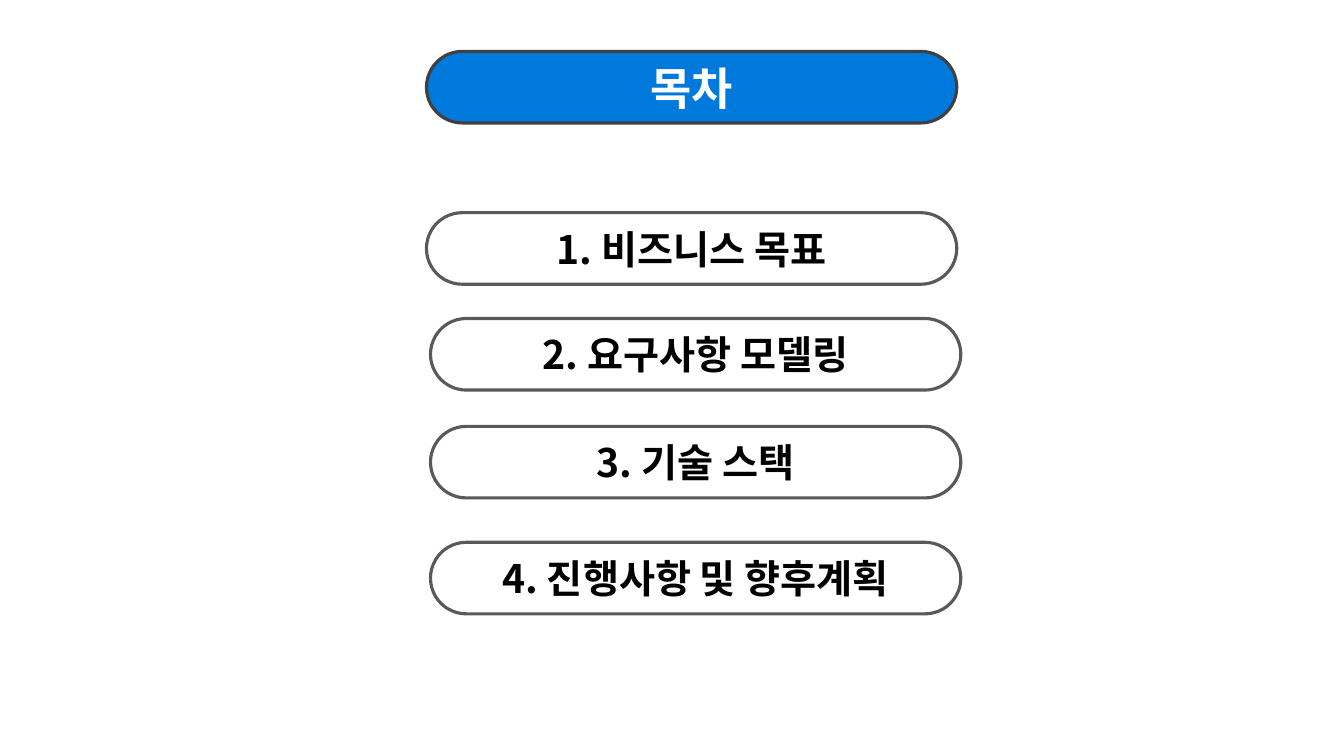
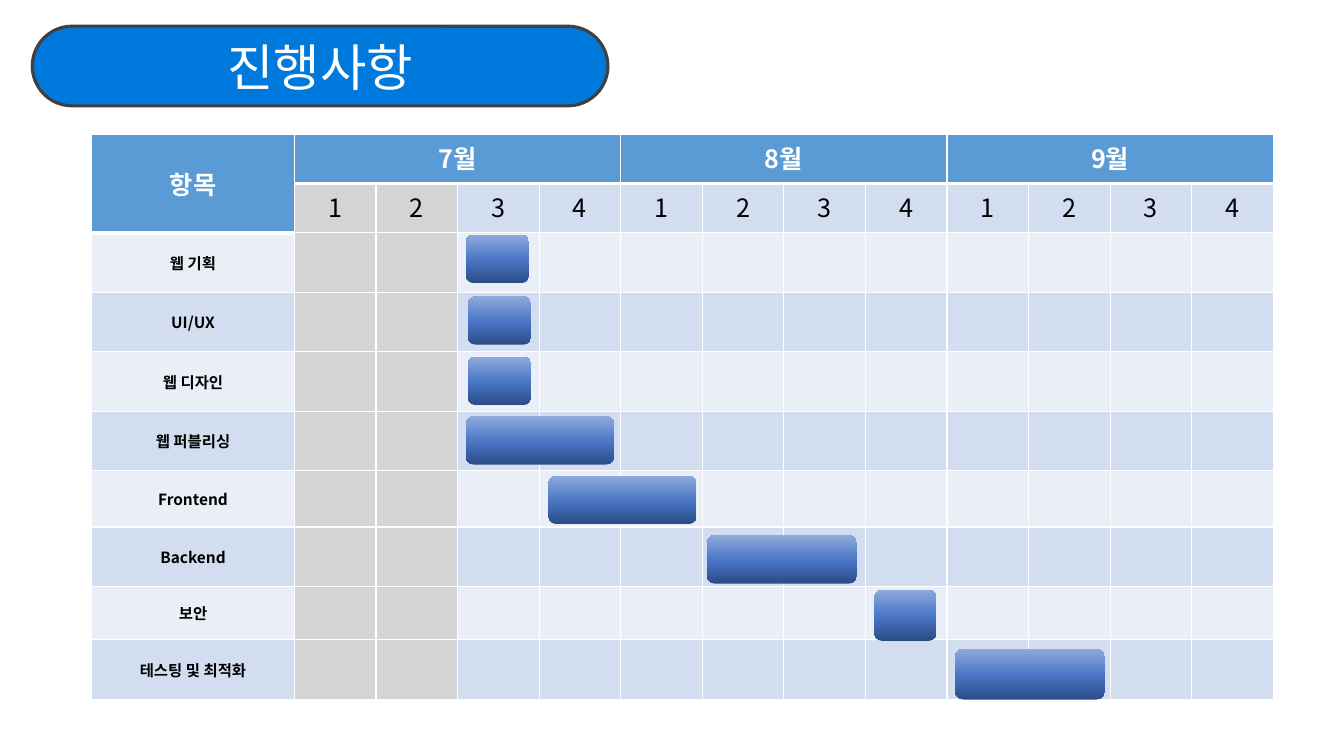
"""Build a table of contents slide and a project schedule slide."""
from copy import deepcopy
from dataclasses import dataclass

from lxml import etree
from pptx import Presentation
from pptx.dml.color import RGBColor
from pptx.enum.shapes import MSO_SHAPE
from pptx.enum.text import MSO_ANCHOR, PP_ALIGN
from pptx.oxml.ns import qn
from pptx.util import Inches, Pt

ROUNDED = MSO_SHAPE.ROUNDED_RECTANGLE
CENTER = PP_ALIGN.CENTER
TOP, MIDDLE = MSO_ANCHOR.TOP, MSO_ANCHOR.MIDDLE


@dataclass(frozen=True)
class Theme:
    font: str = "Noto Sans CJK KR"
    white: str = "FFFFFF"
    black: str = "000000"
    title_fill: str = "0079DC"
    title_line: str = "404040"
    item_line: str = "595959"
    header: str = "5B9BD5"
    bands: tuple = ("EAEFF7", "D2DEEF")
    past: str = "767171"
    past_alpha: int = 30
    bar_stops: tuple = ((0, "2A4B86"), (0.48, "4A76C6"), (1, "8FAADC"))
    contents_size: int = 32
    item_size: int = 28
    schedule_size: int = 36
    header_size: int = 18
    task_size: int = 11
    pill_border: float = 2.25
    cell_border: int = 1
    header_border: int = 3


theme = Theme()


def write_text(frame, text, *, size, color=theme.black, bold=False):
    para = frame.paragraphs[0]
    para.alignment = CENTER
    span = para.add_run()
    span.text = text
    span.font.size = Pt(size)
    span.font.bold = bold
    span.font.name = theme.font
    span.font.color.rgb = RGBColor.from_string(color)
    east_asian = etree.Element(qn("a:ea"), typeface=theme.font)
    span.font._element.find(qn("a:latin")).addnext(east_asian)


def add_pill(page, text, left, top, width, height, *, fill, line, **text_format):
    pill = page.shapes.add_shape(
        ROUNDED, Inches(left), Inches(top), Inches(width), Inches(height))
    pill.adjustments[0] = 0.5
    pill.shadow.inherit = False
    pill.fill.solid()
    pill.fill.fore_color.rgb = RGBColor.from_string(fill)
    pill.line.color.rgb = RGBColor.from_string(line)
    pill.line.width = Pt(theme.pill_border)
    pill.text_frame.vertical_anchor = MIDDLE
    write_text(pill.text_frame, text, **text_format)


deck = Presentation()
deck.slide_width, deck.slide_height = Inches(13.33), Inches(7.5)
blank = deck.slide_layouts[6]
title_look = {"fill": theme.title_fill, "line": theme.title_line, "color": theme.white}

contents = deck.slides.add_slide(blank)
add_pill(contents, "목차", 4.23, 0.51, 5.26, 0.71,
         size=theme.contents_size, bold=True, **title_look)
items = [
    ("1. 비즈니스 목표", 4.23, 2.11),
    ("2. 요구사항 모델링", 4.27, 3.16),
    ("3. 기술 스택", 4.27, 4.23),
    ("4. 진행사항 및 향후계획", 4.27, 5.38),
]
for text, left, top in items:
    add_pill(contents, text, left, top, 5.26, 0.71, fill=theme.white,
             line=theme.item_line, size=theme.item_size, bold=True)

schedule = deck.slides.add_slide(blank)
months = ["7월", "8월", "9월"]
weeks = 4
past_weeks = 2
tasks = ["웹 기획", "UI/UX", "웹 디자인", "웹 퍼블리싱",
         "Frontend", "Backend", "보안", "테스팅 및 최적화"]
row_heights = [0.49, 0.49, 0.59, 0.59, 0.59, 0.59, 0.56, 0.59, 0.53, 0.59]
week_count = len(months) * weeks
table_width, task_width = 11.72, 2.01
table = schedule.shapes.add_table(
    len(row_heights), week_count + 1, Inches(0.91), Inches(1.33),
    Inches(table_width), Inches(sum(row_heights))).table
for column in table.columns:
    column.width = Inches((table_width - task_width) / week_count)
table.columns[0].width = Inches(task_width)
for row, height in zip(table.rows, row_heights):
    row.height = Inches(height)

for row_index in range(len(row_heights)):
    for column_index in range(week_count + 1):
        cell = table.cell(row_index, column_index)
        is_header = row_index == 0 or (row_index == 1 and column_index == 0)
        is_past = not is_header and 1 <= column_index <= past_weeks
        color = theme.bands[row_index % 2]
        if is_header:
            color = theme.header
        elif is_past:
            color = theme.past
        cell.fill.solid()
        cell.fill.fore_color.rgb = RGBColor.from_string(color)
        properties = cell._tc.tcPr
        if is_past:
            shade = properties.find(".//" + qn("a:srgbClr"))
            etree.SubElement(shade, qn("a:alpha"), val=str(theme.past_alpha * 1000))

        header_end = 1 if column_index == 0 else 0
        thick_side = {header_end: "B", header_end + 1: "T"}.get(row_index)
        for position, side in enumerate("LRTB"):
            width = theme.header_border if side == thick_side else theme.cell_border
            border = etree.Element(qn("a:ln" + side), w=str(Pt(width)))
            paint = etree.SubElement(border, qn("a:solidFill"))
            etree.SubElement(paint, qn("a:srgbClr"), val=theme.white)
            properties.insert(position, border)

heading = table.cell(0, 0)
heading.merge(table.cell(1, 0))
heading.vertical_anchor = MIDDLE
header_look = {"size": theme.header_size, "color": theme.white, "bold": True}
write_text(heading.text_frame, "항목", **header_look)
for month_index, month in enumerate(months):
    first = 1 + month_index * weeks
    month_cell = table.cell(0, first)
    month_cell.merge(table.cell(0, first + weeks - 1))
    month_cell.vertical_anchor = TOP
    write_text(month_cell.text_frame, month, **header_look)
    for week in range(weeks):
        write_text(table.cell(1, first + week).text_frame, str(week + 1),
                   size=theme.header_size)
for row_index, task in enumerate(tasks, start=2):
    task_cell = table.cell(row_index, 0)
    task_cell.vertical_anchor = MIDDLE
    write_text(task_cell.text_frame, task, size=theme.task_size, bold=True)

add_pill(schedule, "진행사항", 0.32, 0.26, 5.71, 0.79,
         size=theme.schedule_size, **title_look)

task_bars = [
    (4.62, 2.33, 0.63, 0.48),
    (4.64, 2.94, 0.63, 0.48),
    (4.64, 3.54, 0.63, 0.48),
    (4.62, 4.13, 1.47, 0.48),
    (5.44, 4.72, 1.47, 0.48),
    (7.01, 5.31, 1.49, 0.48),
    (8.67, 5.85, 0.62, 0.51),
    (9.47, 6.44, 1.49, 0.5),
]
for place in task_bars:
    bar = schedule.shapes.add_shape(ROUNDED, *map(Inches, place))
    bar.shadow.inherit = False
    bar.line.fill.background()
    bar.fill.gradient()
    bar.fill.gradient_angle = 90
    stop_list = bar._element.spPr.find(".//" + qn("a:gsLst"))
    stop_list.append(deepcopy(stop_list[0]))
    for stop, (position, color) in zip(bar.fill.gradient_stops, theme.bar_stops):
        stop.position = position
        stop.color.rgb = RGBColor.from_string(color)

deck.save("out.pptx")
